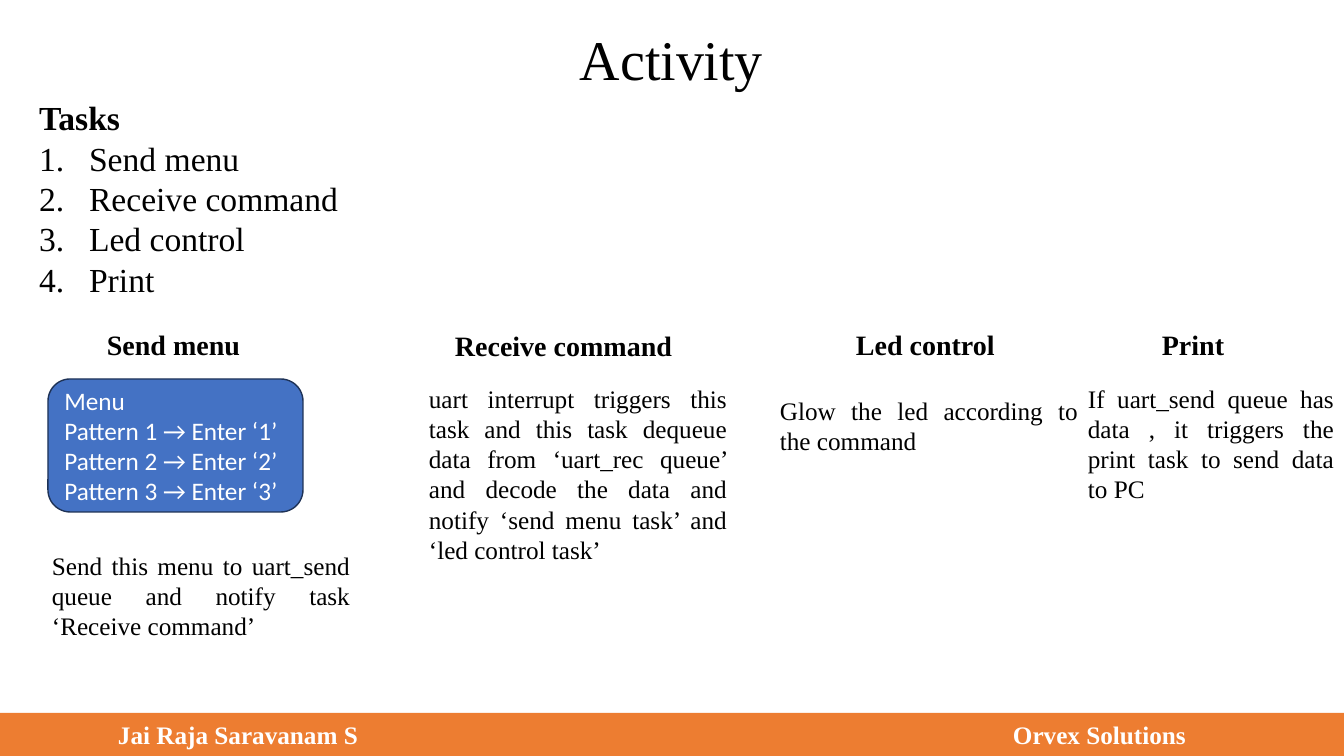
from dataclasses import dataclass

from lxml import etree
from pptx import Presentation
from pptx import util as u
from pptx.dml.color import RGBColor
from pptx.enum import shapes, text
from pptx.oxml.ns import qn


@dataclass(frozen=True)
class Theme:
    serif: str = "Times New Roman"
    sans: str = "Calibri"
    black: RGBColor = RGBColor(0, 0, 0)
    white: RGBColor = RGBColor(255, 255, 255)
    blue: RGBColor = RGBColor(0x44, 0x72, 0xC4)
    navy: RGBColor = RGBColor(0x1E, 0x32, 0x56)
    orange: RGBColor = RGBColor(0xED, 0x7D, 0x31)
    title: int = 40
    task: int = 24
    heading: int = 20
    body: int = 18


theme = Theme()
SLIDE_WIDTH, SLIDE_HEIGHT = 1344, 756
EMU_PER_PX = 12192000 / SLIDE_WIDTH


def px(*lengths):
    """Turn pixel lengths into a list of EMU lengths."""
    return [u.Emu(round(length * EMU_PER_PX)) for length in lengths]


def write(paragraph, words, size, color=theme.black, bold=False,
          name=theme.serif, align=text.PP_ALIGN.LEFT):
    paragraph.text = words
    paragraph.alignment = align
    font = paragraph.font
    font.name, font.size, font.bold = name, u.Pt(size), bold
    font.color.rgb = color


presentation = Presentation()
presentation.slide_width, presentation.slide_height = px(SLIDE_WIDTH, SLIDE_HEIGHT)
slide = presentation.slides.add_slide(presentation.slide_layouts[1])

# Title
title = slide.shapes.title
title.left, title.top, title.width, title.height = px(60, 29, 1223, 67)
title.text_frame.auto_size = text.MSO_AUTO_SIZE.NONE
write(title.text_frame.paragraphs[0], "Activity", theme.title,
      align=text.PP_ALIGN.CENTER)
title.text_frame.paragraphs[0].line_spacing = 0.9

# Numbered task list
tasks = slide.placeholders[1]
tasks.left, tasks.top, tasks.width, tasks.height = px(29, 72, 376, 234)
frame = tasks.text_frame
frame.auto_size = text.MSO_AUTO_SIZE.NONE
number_indent = px(50)[0]
for index, words in enumerate(
        ["Tasks", "Send menu", "Receive command", "Led control", "Print"]):
    paragraph = frame.add_paragraph() if index else frame.paragraphs[0]
    properties = paragraph._p.get_or_add_pPr()
    if index:
        properties.set("marL", str(number_indent))
        properties.set("indent", str(-number_indent))
        etree.SubElement(properties, qn("a:buFont"), typeface="+mj-lt")
        etree.SubElement(properties, qn("a:buAutoNum"), type="arabicPeriod")
    else:
        properties.set("marL", "0")
        properties.set("indent", "0")
        etree.SubElement(properties, qn("a:buNone"))
    write(paragraph, words, theme.task, bold=index == 0)
    paragraph.space_before = u.Pt(0)
    paragraph.line_spacing = 1.0 if index else 1.5

# Task columns: heading box, description box
columns = [
    ("Send menu", (97, 323, 165, 44),
     "Send this menu to uart_send queue and notify task ‘Receive command’",
     (42, 545, 318, 102)),
    ("Receive command", (445, 324, 243, 44),
     "uart interrupt triggers this task and this task dequeue data from "
     "‘uart_rec queue’ and decode the data and notify ‘send menu task’ and "
     "‘led control task’",
     (419, 378, 318, 194)),
    ("Led control", (846, 323, 165, 44),
     "Glow the led according to the command",
     (770, 390, 318, 72)),
    ("Print", (1152, 323, 95, 44),
     "If uart_send queue has data , it triggers the print task to send data to PC",
     (1078, 378, 266, 132)),
]
for heading, heading_box, description, description_box in columns:
    for words, box, size, bold, align in [
        (heading, heading_box, theme.heading, True, text.PP_ALIGN.LEFT),
        (description, description_box, theme.body, False, text.PP_ALIGN.JUSTIFY),
    ]:
        frame = slide.shapes.add_textbox(*px(*box)).text_frame
        frame.word_wrap = True
        write(frame.paragraphs[0], words, size, bold=bold, align=align)

# Menu card
menu = slide.shapes.add_shape(
    shapes.MSO_SHAPE.ROUNDED_RECTANGLE, *px(48, 379, 255, 133))
menu.shadow.inherit = False
menu.fill.solid()
menu.fill.fore_color.rgb = theme.blue
menu.line.color.rgb = theme.navy
menu.line.width = u.Pt(1)
menu.text_frame.vertical_anchor = text.MSO_ANCHOR.MIDDLE
menu_lines = ["Menu"] + [f"Pattern {n} → Enter ‘{n}’" for n in range(1, 4)]
for index, words in enumerate(menu_lines):
    frame = menu.text_frame
    paragraph = frame.add_paragraph() if index else frame.paragraphs[0]
    write(paragraph, words, theme.body, theme.white, name=theme.sans)

# Footer bar, with a tab stop for the second name
footer = slide.shapes.add_shape(
    shapes.MSO_SHAPE.RECTANGLE, *px(0, 713, SLIDE_WIDTH, 43))
footer.shadow.inherit = False
footer.fill.solid()
footer.fill.fore_color.rgb = theme.orange
footer.line.fill.background()
frame = footer.text_frame
frame.vertical_anchor = text.MSO_ANCHOR.MIDDLE
frame.margin_left = px(118)[0]
paragraph = frame.paragraphs[0]
tab_stops = etree.SubElement(paragraph._p.get_or_add_pPr(), qn("a:tabLst"))
etree.SubElement(tab_stops, qn("a:tab"), pos=str(px(1013 - 118)[0]), algn="l")
write(paragraph, "Jai Raja Saravanam S\tOrvex Solutions", theme.body,
      theme.white, bold=True)

presentation.save("out.pptx")
